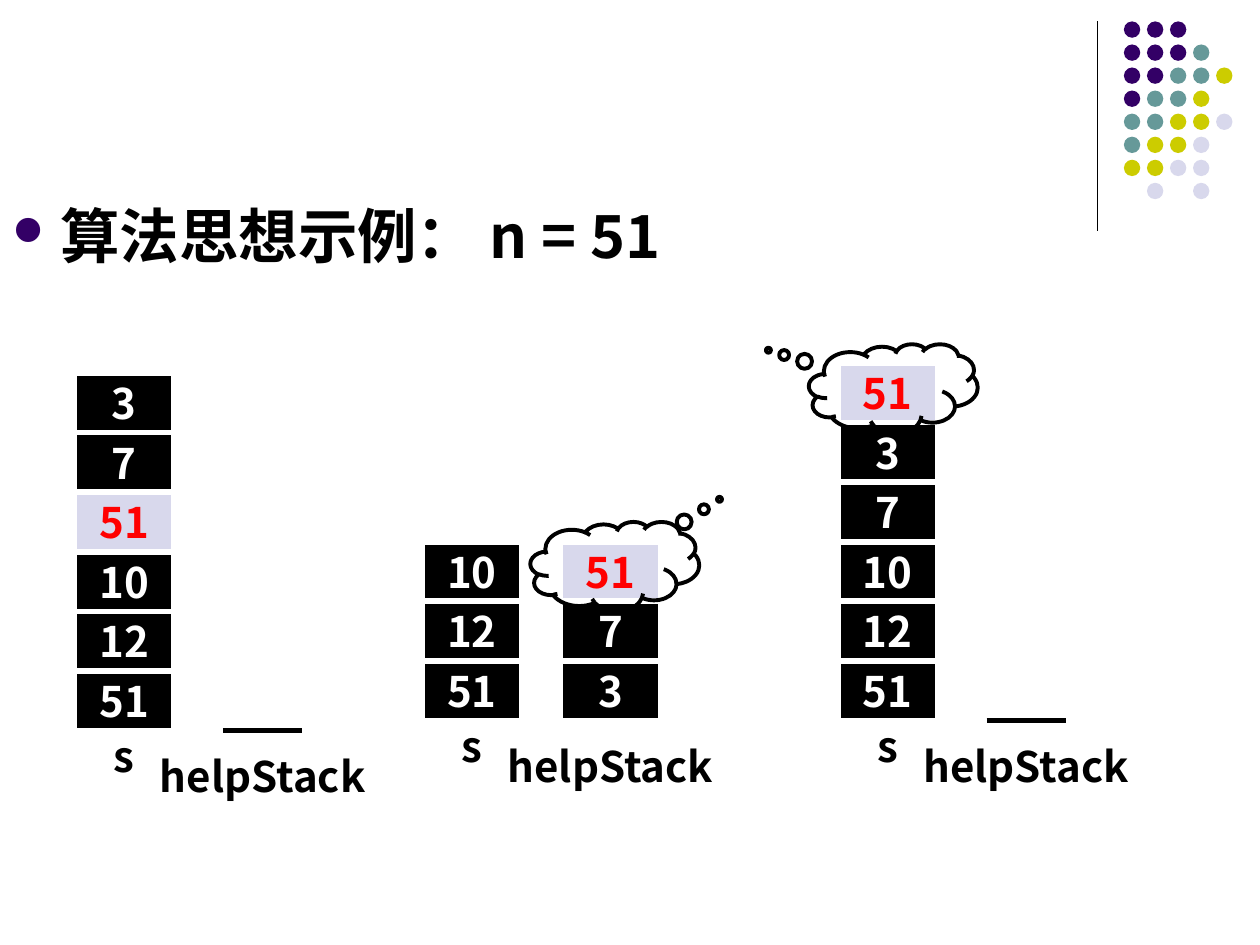
from lxml import etree
from pptx import Presentation
from pptx.dml.color import RGBColor
from pptx.enum.shapes import MSO_CONNECTOR, MSO_SHAPE
from pptx.enum.text import MSO_ANCHOR, PP_ALIGN
from pptx.oxml.ns import qn
from pptx.util import Inches, Pt

STRAIGHT = MSO_CONNECTOR.STRAIGHT
ELLIPSE, RECTANGLE = MSO_SHAPE.OVAL, MSO_SHAPE.RECTANGLE
CLOUD = MSO_SHAPE.CLOUD_CALLOUT
CENTER, LEFT = PP_ALIGN.CENTER, PP_ALIGN.LEFT
MIDDLE, TOP = MSO_ANCHOR.MIDDLE, MSO_ANCHOR.TOP

FONT = "Noto Sans CJK SC"
BLACK, WHITE, RED = "000000", "FFFFFF", "FF0000"
PURPLE, TEAL, OLIVE, LAVENDER = "330066", "669999", "CCCC00", "D8D8EC"

# Letters stand for dot colours; a space leaves a gap in the grid
DOT_COLORS = {"p": PURPLE, "t": TEAL, "o": OLIVE, "l": LAVENDER}
DOT_ROWS = ["ppp", "pppt", "pptto", "ptto", "ttool", "tool", "ooll", " l l"]
DOT_SIZE, DOT_STEP = 0.13, 0.18

MARKED = "51"
CELL_WIDTH, CELL_HEIGHT = 0.79, 0.47
HELP_OFFSET = 1.1


def color(value):
    return RGBColor.from_string(value)


def style_text(frame, text, size, text_color, align):
    para = frame.paragraphs[0]
    para.text = text
    para.alignment = align
    for span in para.runs:
        span.font.size = Pt(size)
        span.font.bold = True
        span.font.name = FONT
        span.font.color.rgb = color(text_color)
        east_asian = etree.SubElement(span.font._element, qn("a:ea"))
        east_asian.set("typeface", FONT)
    return para


def add_line(shapes, x1, y1, x2, y2, width):
    line = shapes.add_connector(
        STRAIGHT, Inches(x1), Inches(y1), Inches(x2), Inches(y2))
    line.line.color.rgb = color(BLACK)
    line.line.width = Pt(width)
    etree.SubElement(line._element.spPr, qn("a:effectLst"))


def add_shape(shapes, kind, left, top, width, height, fill=None):
    """Add a shape without shadow or outline."""
    shape = shapes.add_shape(
        kind, Inches(left), Inches(top), Inches(width), Inches(height))
    shape.shadow.inherit = False
    shape.line.fill.background()
    if fill:
        shape.fill.solid()
        shape.fill.fore_color.rgb = color(fill)
    else:
        shape.fill.background()
    return shape


def set_outline(shape, line_color, width):
    shape.line.color.rgb = color(line_color)
    shape.line.width = Pt(width)


def center_text(shape, text, text_color):
    frame = shape.text_frame
    frame.word_wrap = False
    frame.vertical_anchor = MIDDLE
    style_text(frame, text, 24, text_color, CENTER)


def add_cell(shapes, left, top, text, marked):
    cell = add_shape(shapes, RECTANGLE, left, top, CELL_WIDTH, CELL_HEIGHT,
                     LAVENDER if marked else BLACK)
    set_outline(cell, WHITE, 3)
    center_text(cell, text, RED if marked else WHITE)


def add_stack(shapes, left, base, values, marked_index):
    """Stack the values, listed from top to bottom, on the base line."""
    step = CELL_HEIGHT + 0.003
    for index, value in enumerate(values):
        top = base - step * (len(values) - index)
        add_cell(shapes, left, top, value, index == marked_index)


def add_label(shapes, left, top, text):
    label = add_shape(shapes, RECTANGLE, left, top, 0.63, 0.39)
    center_text(label, text, BLACK)


def add_cloud(shapes, left, top, tail):
    cloud = add_shape(shapes, CLOUD, left, top, 1.34, 0.71)
    set_outline(cloud, BLACK, 2.25)
    cloud.adjustments[0], cloud.adjustments[1] = tail


def add_stack_pair(page, left, base, main_values, help_values=(),
                   marked_main=None, marked_help=None):
    """Draw stack s with its helpStack to the right."""
    shapes = page.shapes.add_group_shape().shapes
    help_left = left + HELP_OFFSET
    add_line(shapes, help_left + 0.08, base, help_left + 0.71, base, 3)
    add_stack(shapes, left, base, main_values, marked_main)
    add_stack(shapes, help_left, base, help_values, marked_help)
    add_label(shapes, left + 0.08, base, "s")
    add_label(shapes, help_left + 0.08, base + 0.16, "helpStack")
    return shapes


def add_dot_corner(page, left, top):
    """Draw the vertical rule and the dot grid to its right."""
    add_line(page.shapes, left, top, left, top + 1.66, 0.75)
    dots = page.shapes.add_group_shape().shapes
    step = DOT_STEP + 0.003
    for row, letters in enumerate(DOT_ROWS):
        for column, letter in enumerate(letters):
            if letter in DOT_COLORS:
                add_shape(dots, ELLIPSE, left + 0.21 + step * column,
                          top + step * row, DOT_SIZE, DOT_SIZE,
                          DOT_COLORS[letter])


def fill_body(page, left, top, width, height):
    """Place the bulleted heading in the body placeholder."""
    body = page.placeholders[1]
    body.left, body.top = Inches(left), Inches(top)
    body.width, body.height = Inches(width), Inches(height)
    body.text_frame.vertical_anchor = TOP
    para = style_text(body.text_frame, "算法思想示例： n = 51", 34, BLACK, LEFT)
    para.line_spacing = 1.5
    para.space_before = Pt(0)
    properties = para._element.get_or_add_pPr()
    properties.set("marL", str(Inches(0.38)))
    properties.set("indent", str(-Inches(0.38)))
    # In Wingdings the letter l is a round bullet
    bullet_color = etree.SubElement(properties, qn("a:buClr"))
    etree.SubElement(bullet_color, qn("a:srgbClr")).set("val", PURPLE)
    etree.SubElement(properties, qn("a:buSzPct")).set("val", "70000")
    bullet_font = etree.SubElement(properties, qn("a:buFont"))
    bullet_font.set("typeface", "Wingdings")
    bullet_font.set("charset", "2")
    etree.SubElement(properties, qn("a:buChar")).set("char", "l")


def main():
    deck = Presentation()
    deck.slide_width, deck.slide_height = Inches(10), Inches(7.5)
    page = deck.slides.add_slide(deck.slide_layouts[1])
    title = page.shapes.title._element
    title.getparent().remove(title)

    add_dot_corner(page, 8.71, 0.17)
    fill_body(page, 0, 1.25, 9.41, 5.51)

    # The marked value moves to the help stack
    moving = add_stack_pair(page, 3.35, 5.72, ["10", "12", "51"],
                            [MARKED, "7", "3"], marked_help=0)
    add_cloud(moving, 4.21, 4.14, (0.62, -0.75))

    # Starting state
    add_stack_pair(page, 0.59, 5.8, ["3", "7", MARKED, "10", "12", "51"],
                   marked_main=2)

    # The marked value ends on top
    final = add_stack_pair(page, 6.65, 5.72,
                           [MARKED, "3", "7", "10", "12", "51"],
                           marked_main=0)
    add_cloud(final, 6.42, 2.73, (-0.74, -0.43))

    deck.save("out.pptx")


if __name__ == "__main__":
    main()
